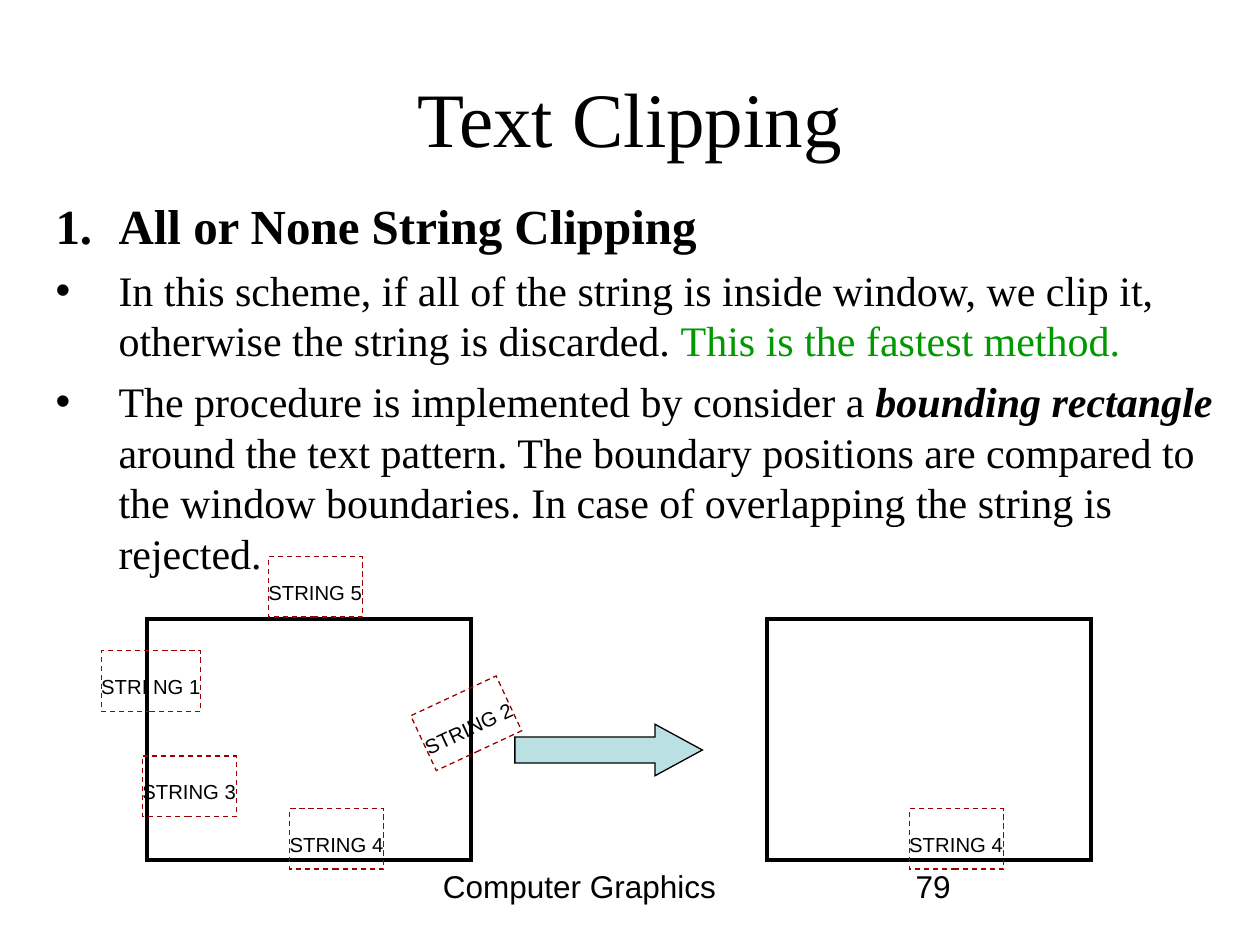
from lxml.etree import SubElement
from pptx import Presentation
from pptx.dml.color import RGBColor
from pptx.enum.dml import MSO_LINE
from pptx.enum.shapes import MSO_SHAPE
from pptx.enum.text import MSO_ANCHOR, MSO_AUTO_SIZE, PP_ALIGN
from pptx.oxml.ns import qn
from pptx.util import Cm, Pt

COLORS = {
    "text": "000000",
    "accent": "009900",
    "string": "990000",
    "arrow": "BBE0E3",
}
SERIF = "Times New Roman"
SANS = "Arial"
WINDOW_TOP = 12.48
STRING_ROW = 16.3
LEFT_STRINGS = [
    ("STRI NG 1", 2.04, 13.12, 2.01, 0),
    ("STRING 2", 8.45, 13.97, 1.9, 335),
    ("STRING 3", 2.87, 15.24, 1.9, 0),
    ("STRING 4", 5.84, STRING_ROW, 1.9, 0),
    ("STRING 5", 5.41, 11.22, 1.9, 0),
]


def rgb(name):
    return RGBColor.from_string(COLORS[name])


def add_span(para, text, size, font, color="text", bold=False, italic=False):
    span = para.add_run()
    span.text = text
    span.font.size = Pt(size)
    span.font.name = font
    span.font.bold = bold
    span.font.italic = italic
    span.font.color.rgb = rgb(color)
    return span


def add_text_box(page, left, top, width, height):
    box = page.shapes.add_textbox(Cm(left), Cm(top), Cm(width), Cm(height))
    box.text_frame.word_wrap = True
    return box.text_frame


def add_title(page, text):
    title = page.shapes.title
    title.left, title.top = Cm(1.27), Cm(0.76)
    title.width, title.height = Cm(22.86), Cm(3.18)
    title.text_frame.vertical_anchor = MSO_ANCHOR.MIDDLE
    para = title.text_frame.paragraphs[0]
    para.alignment = PP_ALIGN.CENTER
    add_span(para, text, 44, SERIF)


def format_item(para, bullet):
    props = para._p.get_or_add_pPr()
    props.set("marL", str(Cm(1.3)))
    props.set("indent", str(-Cm(1.27)))
    if bullet:
        color = SubElement(props, qn("a:buClr"))
        SubElement(color, qn("a:srgbClr"), val=COLORS["text"])
        SubElement(props, qn("a:buFont"), typeface=SANS)
        SubElement(props, qn("a:buChar"), char="•")
        para.space_before = Pt(6)


def add_body(page):
    frame = add_text_box(page, 0.84, 3.81, 24.56, 12.57)
    heading = frame.paragraphs[0]
    format_item(heading, False)
    add_span(heading, "1.\tAll or None String Clipping", 28, SERIF, bold=True)

    scheme = frame.add_paragraph()
    format_item(scheme, True)
    add_span(scheme, "In this scheme, if all of the string is inside window, we clip it, "
             "otherwise the string is discarded. ", 24, SERIF)
    add_span(scheme, "This is the fastest method.", 24, SERIF, "accent")

    procedure = frame.add_paragraph()
    format_item(procedure, True)
    add_span(procedure, "The procedure is implemented by consider a ", 24, SERIF)
    add_span(procedure, "bounding rectangle ", 24, SERIF, bold=True, italic=True)
    add_span(procedure, "around the text pattern. The boundary positions are compared to "
             "the window boundaries. In case of overlapping the string is rejected.", 24, SERIF)


def add_outline(page, kind, left, top, width, height, color, weight):
    shape = page.shapes.add_shape(kind, Cm(left), Cm(top), Cm(width), Cm(height))
    shape.shadow.inherit = False
    shape.fill.background()
    shape.line.color.rgb = rgb(color)
    shape.line.width = Pt(weight)
    return shape


def add_miter(shape):
    SubElement(shape.line._get_or_add_ln(), qn("a:miter"), lim="800000")


def add_window(page, left):
    window = add_outline(page, MSO_SHAPE.RECTANGLE, left, WINDOW_TOP, 6.53, 4.85, "text", 2.25)
    add_miter(window)


def add_string(page, text, left, top, width, angle):
    box = add_outline(page, MSO_SHAPE.RECTANGLE, left, top, width, 1.22, "string", 0.75)
    box.line.dash_style = MSO_LINE.DASH
    add_miter(box)
    box.rotation = angle
    frame = box.text_frame
    frame.margin_left = frame.margin_right = frame.margin_top = 0
    frame.margin_bottom = Cm(0.25)
    frame.word_wrap = False
    frame.auto_size = MSO_AUTO_SIZE.SHAPE_TO_FIT_TEXT
    frame.vertical_anchor = MSO_ANCHOR.TOP
    para = frame.paragraphs[0]
    para.alignment = PP_ALIGN.LEFT
    span = add_span(para, text, 20, SANS)
    span.font._element.set("baseline", "-25000")


def add_arrow(page):
    arrow = add_outline(page, MSO_SHAPE.RIGHT_ARROW, 10.38, 14.6, 3.78, 1.04, "text", 0.75)
    add_miter(arrow)
    arrow.adjustments[0] = 0.5
    arrow.adjustments[1] = 0.92
    arrow.fill.solid()
    arrow.fill.fore_color.rgb = rgb("arrow")


def add_footer(page, text, left, width):
    frame = add_text_box(page, left, 17.35, width, 1.3)
    add_span(frame.paragraphs[0], text, 18, SANS)


def main():
    deck = Presentation()
    deck.slide_width, deck.slide_height = Cm(25.4), Cm(19.05)
    page = deck.slides.add_slide(deck.slide_layouts[5])
    add_title(page, "Text Clipping")
    add_body(page)
    add_window(page, 2.97)
    for string in LEFT_STRINGS:
        add_string(page, *string)
    add_arrow(page)
    add_window(page, 15.46)
    add_string(page, "STRING 4", 18.33, STRING_ROW, 1.9, 0)
    add_footer(page, "Computer Graphics", 8.68, 8.03)
    add_footer(page, "79", 18.21, 5.89)
    deck.save("out.pptx")


if __name__ == "__main__":
    main()
